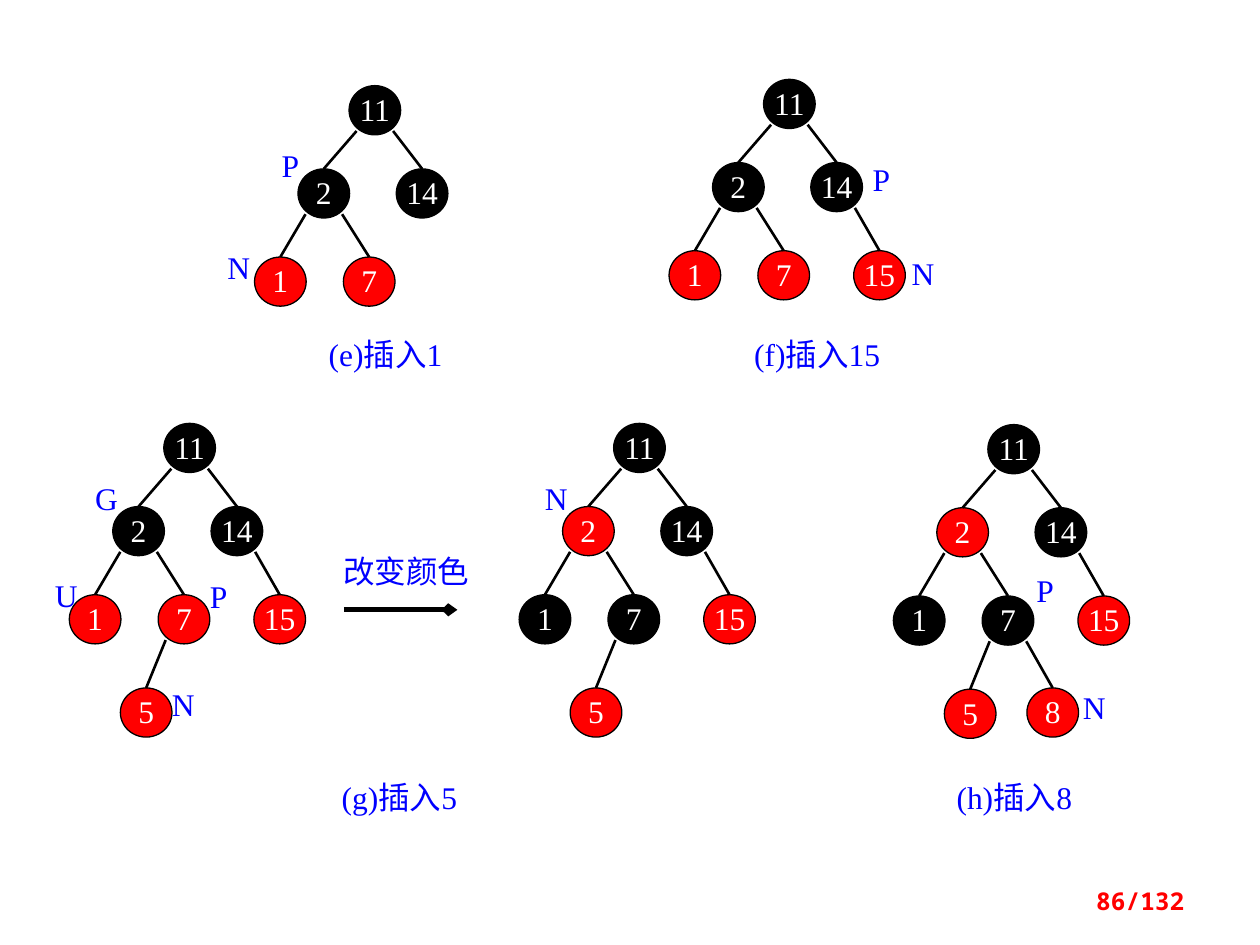
from lxml.etree import SubElement as Sub
from pptx import Presentation
from pptx.dml.color import RGBColor as Rgb
from pptx.enum.shapes import MSO_CONNECTOR as Link, MSO_SHAPE as Shape
from pptx.enum.text import MSO_ANCHOR as Anchor, PP_ALIGN as Align
from pptx.oxml.ns import qn
from pptx.util import Inches, Pt

HUES = {"black": "000000", "red": "FF0000", "blue": "0000FF", "white": "FFFFFF"}

deck = Presentation()
deck.slide_width, deck.slide_height = Inches(10), Inches(7.5)
slide = deck.slides.add_slide(deck.slide_layouts[6])
parts = slide.shapes

# Grid of 100 columns by 75 rows
COL, ROW = deck.slide_width / 100, deck.slide_height / 75
NODE = (4.1, 3.9)
MARK = (2.7, 2.8)

# Node key: parent, column and row from the root's corner
PLAN = {
    "11": (None, 0, 0),
    "2": ("11", -4.05, 6.6),
    "14": ("11", 3.75, 6.6),
    "1": ("2", -7.5, 13.6),
    "7": ("2", -0.45, 13.6),
    "15": ("14", 7.15, 13.6),
    "5": ("7", -3.45, 21),
    "8": ("7", 3.1, 20.9),
}


def hue(name):
    return Rgb.from_string(HUES[name])


def place(col, row, wide, high):
    return [round(v) for v in (col * COL, row * ROW, wide * COL, high * ROW)]


def write(shape, text, color="blue", size=18, face="Times New Roman",
          bold=False, align=Align.CENTER, anchor=Anchor.TOP, pad=0, lead=20):
    frame = shape.text_frame
    frame.word_wrap, frame.vertical_anchor = True, anchor
    frame.margin_left = frame.margin_right = Inches(pad)
    frame.margin_top = frame.margin_bottom = Inches(pad / 2)
    para = frame.paragraphs[0]
    para.alignment = align
    if lead:
        para.line_spacing = Pt(lead)
    run = para.add_run()
    run.text = text
    font = run.font
    font.size, font.name, font.bold = Pt(size), face, bold
    font.color.rgb = hue(color)


def label(text, col, row, wide, high, **style):
    write(parts.add_textbox(*place(col, row, wide, high)), text, **style)


def line(start, end, width):
    x1, y1, x2, y2 = place(*start, *end)
    link = parts.add_connector(Link.STRAIGHT, x1, y1, x2, y2)
    link.line.color.rgb, link.line.width = hue("black"), Pt(width)
    Sub(link._element.spPr, qn("a:effectLst"))
    return link


def node(text, col, row, fill):
    disc = parts.add_shape(Shape.OVAL, *place(col, row, *NODE))
    disc.shadow.inherit = False
    disc.fill.solid()
    disc.fill.fore_color.rgb = hue(fill)
    disc.line.color.rgb, disc.line.width = hue("black"), Pt(0.75)
    write(disc, text, color="white")
    return disc


def tree(col, row, black, red, marks):
    """Draw a tree whose root's corner is at the given column and row."""
    for key, (top, dx, dy) in PLAN.items():
        if key not in black + red:
            continue
        disc = node(key, col + dx, row + dy, "red" if key in red else "black")
        if top:
            _, px, py = PLAN[top]
            side = 0.6 if dx < px else 3.5
            start = (col + px + side, row + py + 3.6)
            line(start, (col + dx + NODE[0] / 2, row + dy), 1.5).end_connect(disc, 0)
    for text, dx, dy in marks:
        label(text, col + dx, row + dy, *MARK)


def step(text, col, row, wide=9.8):
    label(text, col, row, wide, 2.8)


def change(col, row):
    """Draw the recolouring arrow under its caption."""
    label("改变颜色", col, row, 10.5, 2.8)
    arrow = line((col + 0.3, row + 4.4), (col + 9.3, row + 4.4), 3)
    Sub(arrow.line._get_or_add_ln(), qn("a:tailEnd"), type="arrow", w="sm", len="sm")


# Upper row: steps e and f
tree(27.7, 6.8, ["11", "2", "14"], ["1", "7"],
     [("P", -6, 5), ("N", -10.1, 13.1)])
step("(e)插入1", 25.7, 26.8)
tree(60.6, 6.3, ["11", "2", "14"], ["1", "7", "15"],
     [("P", 8, 6.6), ("N", 11.3, 14.1)])
step("(f)插入15", 58.6, 26.8, wide=12.5)

# Lower row: step g before and after recolouring, then step h
tree(13, 33.6, ["11", "2", "14"], ["1", "7", "15", "5"],
     [("U", -9.1, 12.3), ("G", -5.9, 4.6), ("N", 0.2, 21), ("P", 3, 12.4)])
change(27, 44)
tree(48.7, 33.6, ["11", "14", "1", "7"], ["2", "15", "5"], [("N", -5.9, 4.6)])
step("(g)插入5", 26.8, 62)
tree(78.4, 33.7, ["11", "14", "1", "7"], ["2", "15", "5", "8"],
     [("P", 3.2, 11.8), ("N", 7.1, 21.1)])
step("(h)插入8", 75.6, 62)

# Page number
label("86/132", 71.7, 69.5, 23.3, 4, color="red", size=14, face="Noto Sans Mono",
      bold=True, align=Align.RIGHT, anchor=Anchor.MIDDLE, pad=0.1, lead=None)

deck.save("out.pptx")
